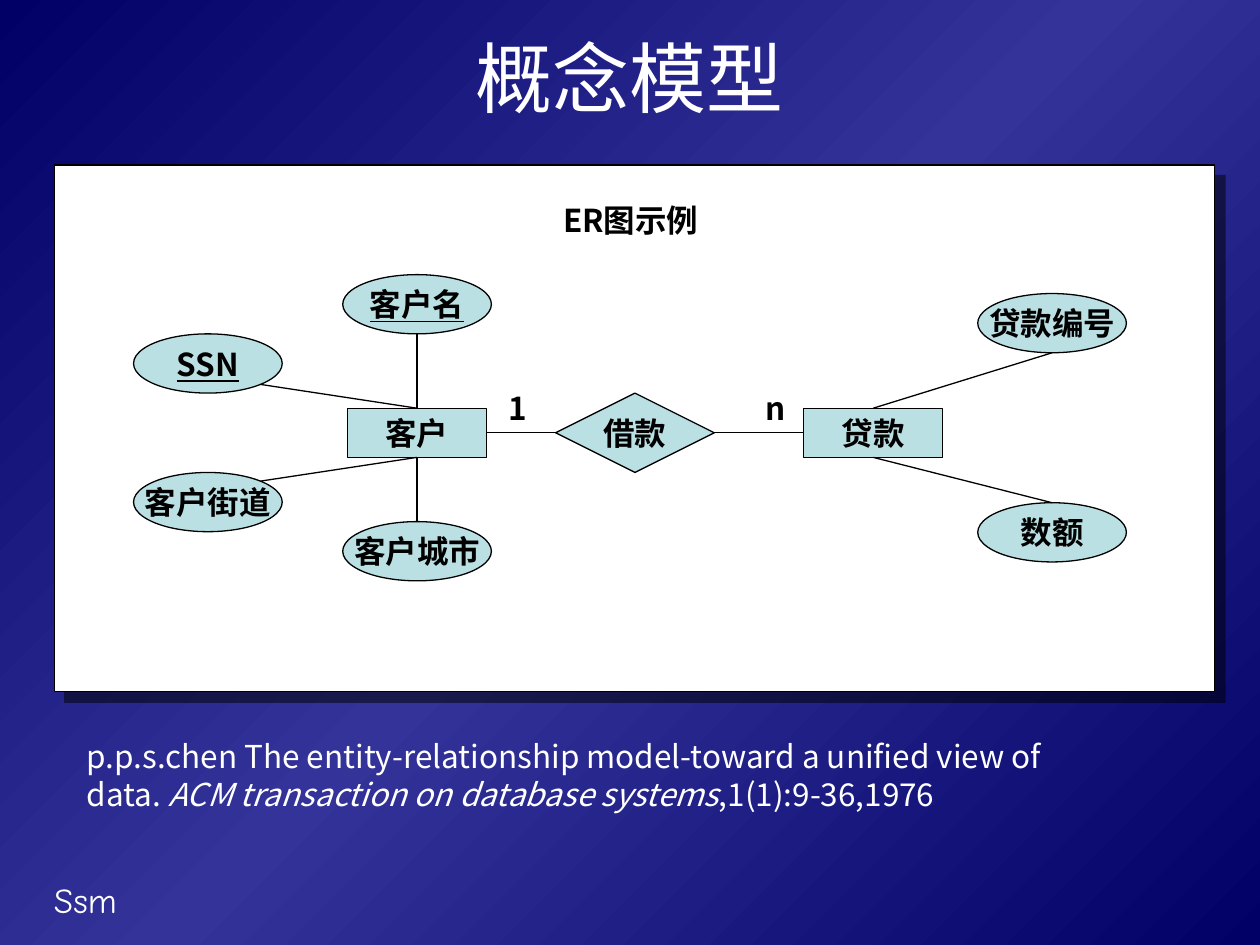
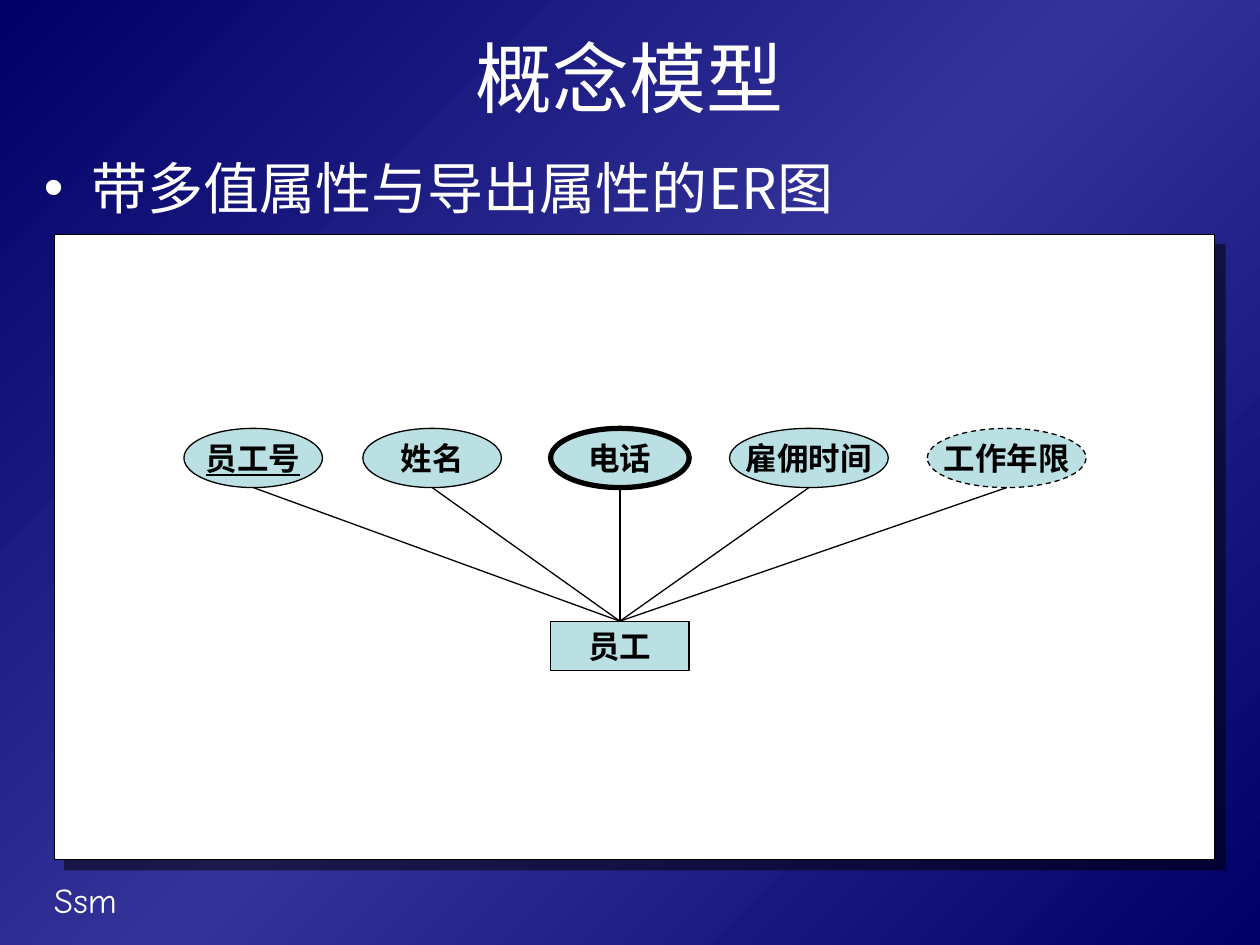
from copy import deepcopy
from math import sqrt

from pptx import Presentation
from pptx.dml.color import RGBColor
from pptx.enum.dml import MSO_LINE
from pptx.enum.shapes import MSO_CONNECTOR, MSO_SHAPE
from pptx.enum.text import MSO_ANCHOR, PP_ALIGN
from pptx.oxml.ns import qn
from pptx.oxml.xmlchemy import OxmlElement
from pptx.util import Inches, Pt

BLACK = "000000"
WHITE = "FFFFFF"
NODE_FILL = "BBE0E3"
GRADIENT = [(0, "000066"), (0.5, "333399"), (1, "000066")]
TEXT_FONT = "Noto Sans CJK SC"
FOOTER_FONT = "Comic Neue"
TITLE = "概念模型"
TITLE_BOX = (0.5, 0.17, 9, 0.87)
FOOTER_BOX = (0.33, 6.92, 2.08, 0.44)
ELLIPSE_SIZE = (1.18, 0.47)
ENTITY_SIZE = (1.1, 0.39)
TOP, LEFT, BOTTOM, RIGHT = range(4)


def color(value):
    return RGBColor.from_string(value)


def add_child(parent, tag, **attributes):
    child = OxmlElement(tag)
    for name, value in attributes.items():
        child.set(name, str(value))
    parent.append(child)
    return child


def write(frame, *texts, size=18, font=TEXT_FONT, fill=BLACK, bold=False,
          underline=False, italics=(), align=PP_ALIGN.LEFT,
          anchor=MSO_ANCHOR.TOP, wrap=True):
    frame.word_wrap = wrap
    frame.vertical_anchor = anchor
    paragraph = frame.paragraphs[0]
    paragraph.alignment = align
    for text in texts:
        run = paragraph.add_run()
        run.text = text
        run.font.size = Pt(size)
        run.font.name = font
        run.font.bold = bold
        run.font.italic = text in italics
        run.font.underline = underline
        run.font.color.rgb = color(fill)
        add_child(run.font._element, "a:ea", typeface=TEXT_FONT)
    return paragraph


def add_text(slide, box, *texts, **text_format):
    shape = slide.shapes.add_textbox(*map(Inches, box))
    return write(shape.text_frame, *texts, **text_format)


def add_box(slide, kind, box, fill, line_width=0.75):
    shape = slide.shapes.add_shape(kind, *map(Inches, box))
    shape.shadow.inherit = False
    shape.fill.solid()
    shape.fill.fore_color.rgb = color(fill)
    shape.line.color.rgb = color(BLACK)
    shape.line.width = Pt(line_width)
    return shape


def add_node(slide, kind, box, text, font=TEXT_FONT, underline=False, line_width=0.75):
    shape = add_box(slide, kind, box, NODE_FILL, line_width)
    write(shape.text_frame, text, font=font, bold=True, underline=underline,
          align=PP_ALIGN.CENTER, anchor=MSO_ANCHOR.MIDDLE, wrap=False)
    return shape


def ellipse_point(shape, across, down):
    return (int(shape.left + shape.width * (1 + across) / 2),
            int(shape.top + shape.height * (1 + down) / 2))


def add_link(slide, start, end, end_side, start_side=None):
    point = (0, 0) if start_side is not None else start
    connector = slide.shapes.add_connector(MSO_CONNECTOR.STRAIGHT, *point, *point)
    if start_side is not None:
        connector.begin_connect(start, start_side)
    connector.end_connect(end, end_side)
    connector.line.color.rgb = color(BLACK)
    connector.line.width = Pt(0.75)
    add_child(connector._element.spPr, "a:effectLst")


def add_panel(slide, box):
    panel = add_box(slide, MSO_SHAPE.RECTANGLE, box, WHITE)
    effects = panel._element.spPr.find(qn("a:effectLst"))
    shadow = add_child(effects, "a:outerShdw", blurRad=0, dist=Pt(8.5),
                       dir=45 * 60000, algn="ctr", rotWithShape=0)
    shade = add_child(shadow, "a:srgbClr", val=BLACK)
    add_child(shade, "a:alpha", val=50000)


def set_background(master):
    fill = master.background.fill
    fill.gradient()
    fill.gradient_angle = 315
    stops = master.element.find(".//" + qn("a:gsLst"))
    stops.append(deepcopy(stops[-1]))
    for stop, (position, value) in zip(fill.gradient_stops, GRADIENT):
        stop.position = position
        stop.color.rgb = color(value)


def add_base_slide(presentation):
    slide = presentation.slides.add_slide(presentation.slide_layouts[6])
    add_text(slide, FOOTER_BOX, "Ssm", size=20, font=FOOTER_FONT, fill=WHITE)
    add_text(slide, TITLE_BOX, TITLE, size=44, fill=WHITE,
             align=PP_ALIGN.CENTER, anchor=MSO_ANCHOR.MIDDLE)
    return slide


def add_bullet(slide, box, text):
    paragraph = add_text(slide, box, text, size=32, fill=WHITE)
    properties = paragraph._p.get_or_add_pPr()
    properties.set("marL", str(Inches(0.38)))
    properties.set("indent", str(Inches(-0.38)))
    bullet_color = add_child(properties, "a:buClr")
    add_child(bullet_color, "a:srgbClr", val=WHITE)
    add_child(properties, "a:buFont", typeface="Arial")
    add_child(properties, "a:buChar", char="•")


def draw_loan_diagram(slide, box):
    left, top = box[:2]
    add_panel(slide, box)

    def place(kind, x, y, size, text, **node_format):
        return add_node(slide, kind, (left + x, top + y, *size), text, **node_format)

    customer = place(MSO_SHAPE.RECTANGLE, 2.33, 1.93, ENTITY_SIZE, "客户")
    loan = place(MSO_SHAPE.RECTANGLE, 5.95, 1.93, ENTITY_SIZE, "贷款")
    borrows = place(MSO_SHAPE.DIAMOND, 3.98, 1.81, (1.26, 0.63), "借款")

    diagonal = 1 / sqrt(2)
    attributes = [
        ("SSN", 0.63, 1.34, True, (diagonal, diagonal), customer, TOP),
        ("客户名", 2.29, 0.87, True, (0, 1), customer, TOP),
        ("客户街道", 0.63, 2.44, False, (diagonal, -diagonal), customer, BOTTOM),
        ("客户城市", 2.29, 2.83, False, (0, -1), customer, BOTTOM),
        ("贷款编号", 7.33, 1.02, False, (0, 1), loan, TOP),
        ("数额", 7.33, 2.68, False, (0, -1), loan, BOTTOM),
    ]
    for text, x, y, is_key, direction, entity, side in attributes:
        attribute = place(MSO_SHAPE.OVAL, x, y, ELLIPSE_SIZE, text, underline=is_key)
        add_link(slide, ellipse_point(attribute, *direction), entity, side)
    add_link(slide, customer, borrows, LEFT, RIGHT)
    add_link(slide, borrows, loan, LEFT, RIGHT)

    for text, x, y, width in [("1", 3.51, 1.73, 0.39), ("n", 5.55, 1.73, 0.39),
                              ("ER图示例", 3.94, 0.24, 2.05)]:
        add_text(slide, (left + x, top + y, width, 0.4), text, bold=True)


def draw_employee_diagram(slide, box):
    left, top = box[:2]
    add_panel(slide, box)
    employee = add_node(slide, MSO_SHAPE.RECTANGLE,
                        (left + 3.94, top + 3.07, *ENTITY_SIZE), "员工", font="Arial")
    attributes = [
        ("员工号", 1.03, 1.1, {"underline": True}),
        ("姓名", 2.45, 1.1, {}),
        ("电话", 3.94, 1.1, {"line_width": 3}),
        ("雇佣时间", 5.36, 1.26, {}),
        ("工作年限", 6.93, 1.26, {}),
    ]
    for text, x, width, node_format in attributes:
        attribute = add_node(slide, MSO_SHAPE.OVAL, (left + x, top + 1.54, width, 0.47),
                             text, font="Arial", **node_format)
        if text == "工作年限":
            attribute.line.dash_style = MSO_LINE.DASH
        add_link(slide, ellipse_point(attribute, 0, 1), employee, TOP)


def build_example_slide(presentation):
    slide = add_base_slide(presentation)
    draw_loan_diagram(slide, (0.43, 1.31, 9.21, 4.18))
    journal = "ACM transaction on database systems"
    add_text(slide, (0.59, 5.8, 8.03, 0.7),
             "p.p.s.chen The entity-relationship model-toward a unified view of data. ",
             journal, ",1(1):9-36,1976", fill=WHITE, italics=(journal,))


def build_attribute_slide(presentation):
    slide = add_base_slide(presentation)
    add_bullet(slide, (0.25, 1.17, 9.58, 0.65), "带多值属性与导出属性的ER图")
    draw_employee_diagram(slide, (0.43, 1.86, 9.21, 4.96))


def main():
    presentation = Presentation()
    presentation.slide_width = Inches(10)
    presentation.slide_height = Inches(7.5)
    set_background(presentation.slide_master)
    build_example_slide(presentation)
    build_attribute_slide(presentation)
    presentation.save("out.pptx")


if __name__ == "__main__":
    main()
